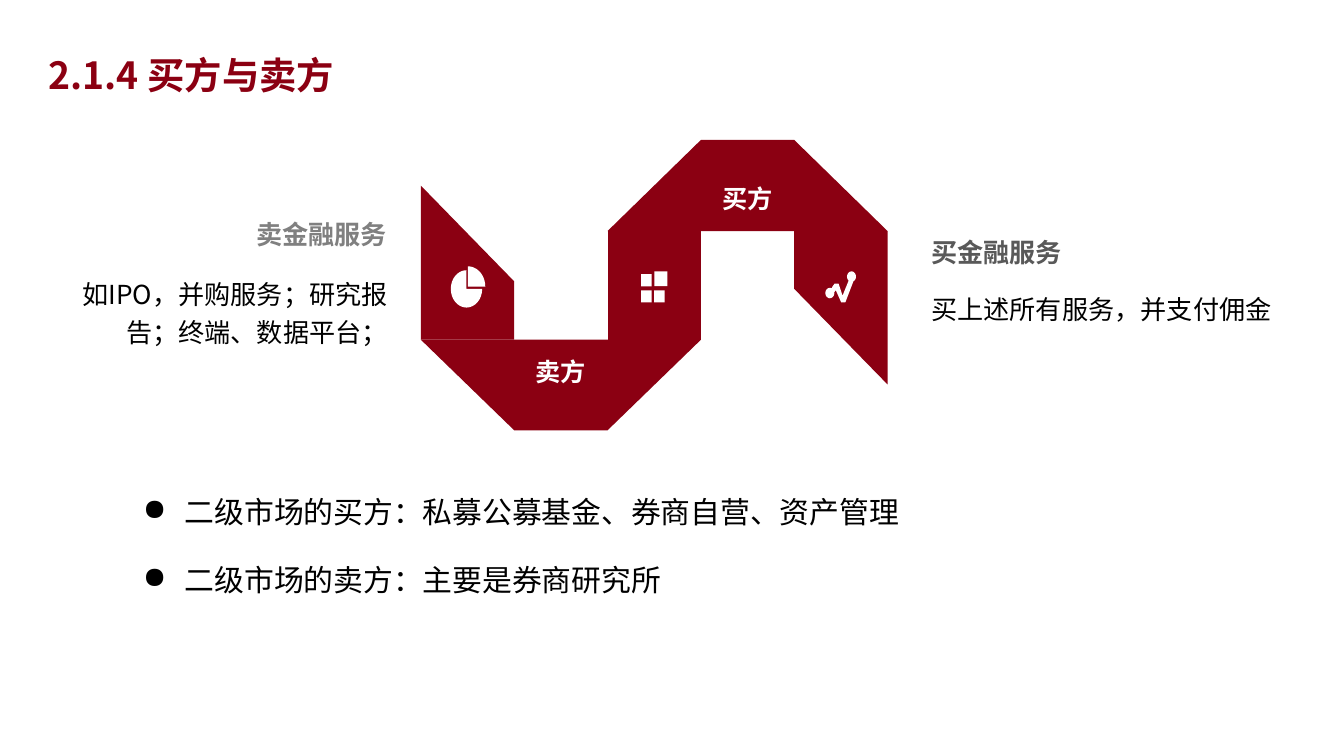
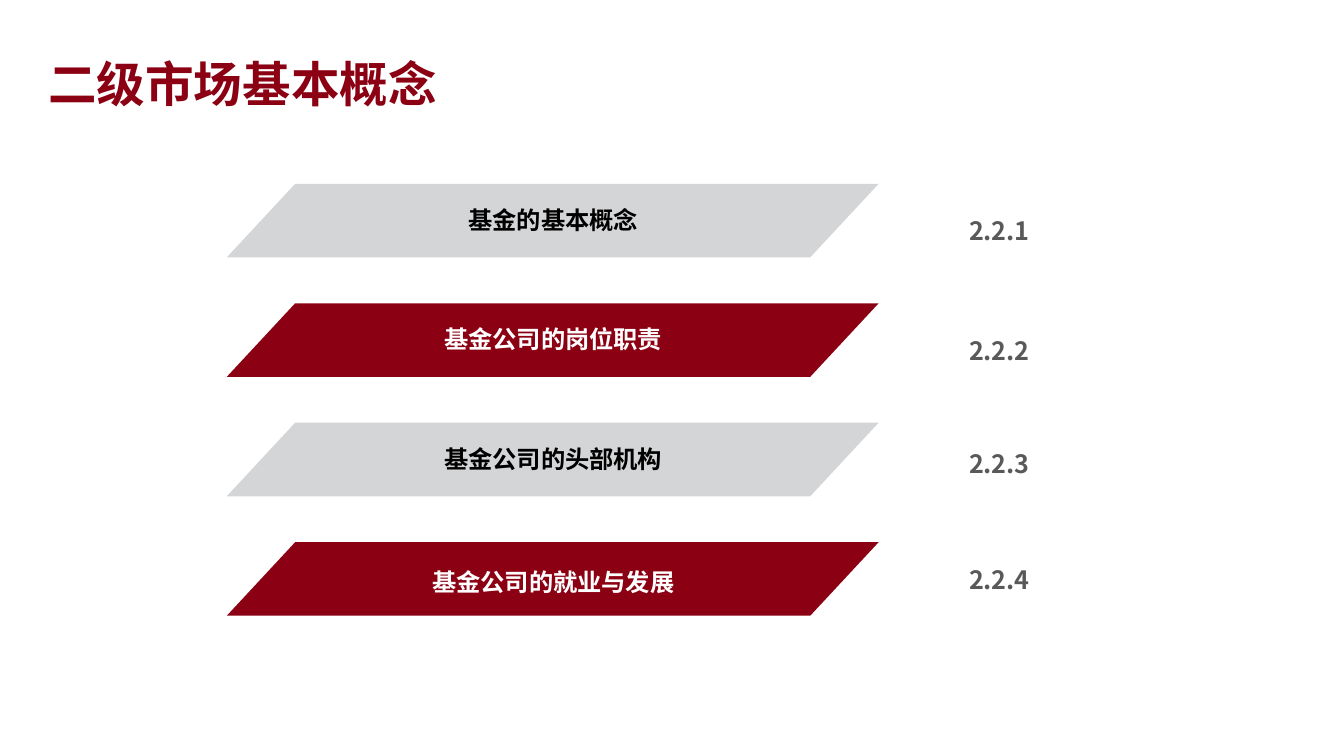
from dataclasses import dataclass
from math import cos, radians, sin

from lxml import etree
from pptx import Presentation
from pptx.dml.color import RGBColor
from pptx.enum.shapes import MSO_SHAPE
from pptx.enum.text import MSO_ANCHOR, MSO_AUTO_SIZE, PP_ALIGN
from pptx.oxml.ns import qn
from pptx.util import Pt

LEFT, CENTER, RIGHT, JUSTIFY = PP_ALIGN.LEFT, PP_ALIGN.CENTER, PP_ALIGN.RIGHT, PP_ALIGN.JUSTIFY
TOP = MSO_ANCHOR.TOP
NO_AUTOFIT = MSO_AUTO_SIZE.NONE
RECTANGLE, PARALLELOGRAM = MSO_SHAPE.RECTANGLE, MSO_SHAPE.PARALLELOGRAM
TITLE_ONLY = 5


@dataclass(frozen=True)
class Theme:
    font: str = "Noto Sans CJK SC"
    crimson: str = "8B0012"
    silver: str = "D4D5D7"
    white: str = "FFFFFF"
    black: str = "000000"
    gray: str = "808080"
    dark_gray: str = "595959"
    chapter_size: float = 26
    title_size: float = 20
    bullet_size: float = 16
    body_size: float = 14
    label_size: float = 13.5
    band_size: float = 13


THEME = Theme()


def write_text(frame, text, size=THEME.body_size, color=THEME.black, bold=False,
               align=LEFT, spacing=1.2, bullet=None, indent=22.5):
    frame.word_wrap = True
    frame.auto_size = NO_AUTOFIT
    frame.vertical_anchor = TOP
    paragraph = frame.paragraphs[0]
    paragraph.alignment = align
    paragraph.line_spacing = spacing
    if bullet:
        properties = paragraph._p.get_or_add_pPr()
        properties.set("marL", str(Pt(indent)))
        properties.set("indent", str(-Pt(indent)))
        etree.SubElement(properties, qn("a:buChar")).set("char", bullet)
    run = paragraph.add_run()
    run.text = text
    run.font.size = Pt(size)
    run.font.bold = bold
    run.font.color.rgb = RGBColor.from_string(color)
    run.font.name = THEME.font
    etree.SubElement(run._r.get_or_add_rPr(), qn("a:ea")).set("typeface", THEME.font)


def arc(center, radii, start, end, steps=24):
    """Points on an ellipse; angles in degrees, clockwise from the right."""
    angles = [radians(start + (end - start) * i / steps) for i in range(steps + 1)]
    return [(center[0] + radii[0] * cos(a), center[1] + radii[1] * sin(a)) for a in angles]


class Deck:
    def __init__(self):
        self.presentation = Presentation()
        self.presentation.slide_width = Pt(720)
        self.presentation.slide_height = Pt(405)
        self.slide = None

    def add_slide(self, title, size, width, height):
        layout = self.presentation.slide_layouts[TITLE_ONLY]
        self.slide = self.presentation.slides.add_slide(layout)
        shape = self.slide.shapes.title
        shape.left, shape.top, shape.width, shape.height = map(Pt, (18.7, 21, width, height))
        write_text(shape.text_frame, title, size=size, color=THEME.crimson, bold=True, spacing=1.14)

    def text(self, text, left, top, width, height, **style):
        box = self.slide.shapes.add_textbox(*map(Pt, (left, top, width, height)))
        write_text(box.text_frame, text, **style)

    def paint(self, shape, color):
        shape.shadow.inherit = False
        shape.fill.solid()
        shape.fill.fore_color.rgb = RGBColor.from_string(color)
        shape.line.fill.background()

    def shape(self, kind, left, top, width, height, color):
        shape = self.slide.shapes.add_shape(kind, *map(Pt, (left, top, width, height)))
        self.paint(shape, color)
        return shape

    def outline(self, points, color):
        corners = [(Pt(x), Pt(y)) for x, y in points]
        builder = self.slide.shapes.build_freeform(*corners[0])
        builder.add_line_segments(corners[1:], close=True)
        self.paint(builder.convert_to_shape(), color)


def draw_ribbon(deck):
    x = [225.5 + 50 * column for column in range(6)]
    crest, shoulder, waist, trough = 75, 123.8, 182, 230.5
    panels = [
        [(x[2], shoulder), (x[3], shoulder), (x[3], waist), (x[2], waist)],
        [(x[5], shoulder), (x[2], shoulder), (x[3], crest), (x[4], crest)],
        [(x[4], shoulder), (x[5], shoulder), (x[5], 206), (x[4], 154.8)],
        [(x[0], waist), (x[3], waist), (x[2], trough), (x[1], trough)],
        [(x[0], 99.5), (x[1], 150.8), (x[1], waist), (x[0], waist)],
    ]
    for panel in panels:
        deck.outline(panel, THEME.crimson)


def draw_icons(deck):
    pie_center, slice_center = (249.9, 154.8), (250.7, 153.5)
    deck.outline([pie_center] + arc(pie_center, (8.4, 10), 0, 270), THEME.white)
    deck.outline([slice_center] + arc(slice_center, (9.3, 10.8), -90, 0), THEME.white)

    for left, top, width, height in [(343.5, 146.9, 5.6, 6.5), (350.5, 145.4, 7, 8),
                                     (343.5, 155.5, 5.6, 6.5), (350.5, 155.5, 5.6, 6.5)]:
        deck.shape(RECTANGLE, left, top, width, height, THEME.white)

    dot_radii = (2.4, 2.8)
    upper_dot = arc((456.2, 148.2), dot_radii, 65, -230)
    lower_dot = arc((444.6, 157), dot_radii, -60, -370)
    trend = (upper_dot + [(451.4, 158.4), (449.3, 152), (447.1, 152), (445.7, 154)]
             + lower_dot + [(447.8, 155.5), (450.7, 162), (452.9, 162)])
    deck.outline(trend, THEME.white)


def build_sides_slide(deck):
    deck.add_slide("2.1.4 买方与卖方", THEME.title_size, 428.4, 33)
    deck.text("买上述所有服务，并支付佣金", 491.8, 150.5, 220.3, 46, align=JUSTIFY)
    deck.text("买金融服务", 491.8, 119.5, 227.5, 26, color=THEME.dark_gray, bold=True, align=JUSTIFY)
    deck.text("如IPO，并购服务；研究报告；终端、数据平台；", 36, 142.5, 179, 72, align=RIGHT)
    deck.text("卖金融服务", 20.2, 110.2, 194.4, 52, color=THEME.gray, bold=True, align=RIGHT)
    draw_ribbon(deck)
    draw_icons(deck)
    for side, left, top in [("买方", 342, 91.4), ("卖方", 241.9, 184.3)]:
        deck.text(side, left, top, 116.6, 25.2, size=THEME.label_size,
                  color=THEME.white, bold=True, align=CENTER)
    for row, point in enumerate(["二级市场的买方：私募公募基金、券商自营、资产管理",
                                 "二级市场的卖方：主要是券商研究所"]):
        deck.text(point, 69.5, 256.3 + 36 * row, 535.7, 29.5, size=THEME.bullet_size,
                  align=JUSTIFY, spacing=1.25, bullet="●")


def build_concepts_slide(deck):
    deck.add_slide("二级市场基本概念", THEME.chapter_size, 266.4, 40.3)
    sections = [  # title, title offset, number offset
        ("基金的基本概念", 4.7, 10.2),
        ("基金公司的岗位职责", 4.7, 10.2),
        ("基金公司的头部机构", 4.7, 7),
        ("基金公司的就业与发展", 7, 4.9),
    ]
    band_styles = [(THEME.silver, THEME.black), (THEME.crimson, THEME.white)]
    for index, (title, title_offset, number_offset) in enumerate(sections):
        fill, color = band_styles[index % 2]
        top = 98.5 + 64 * index
        band = deck.shape(PARALLELOGRAM, 121.5, top, 349.2, 39.4, fill)
        band.adjustments[0] = 0.93
        deck.text(title, 174, top + title_offset, 244.8, 24.5, size=THEME.band_size,
                  color=color, bold=True, align=CENTER)
        deck.text(f"2.2.{index + 1}", 481, top + number_offset, 108.7, 25.2,
                  size=THEME.label_size, color=THEME.dark_gray, bold=True, align=CENTER)


def main():
    deck = Deck()
    build_sides_slide(deck)
    build_concepts_slide(deck)
    deck.presentation.save("out.pptx")


if __name__ == "__main__":
    main()
